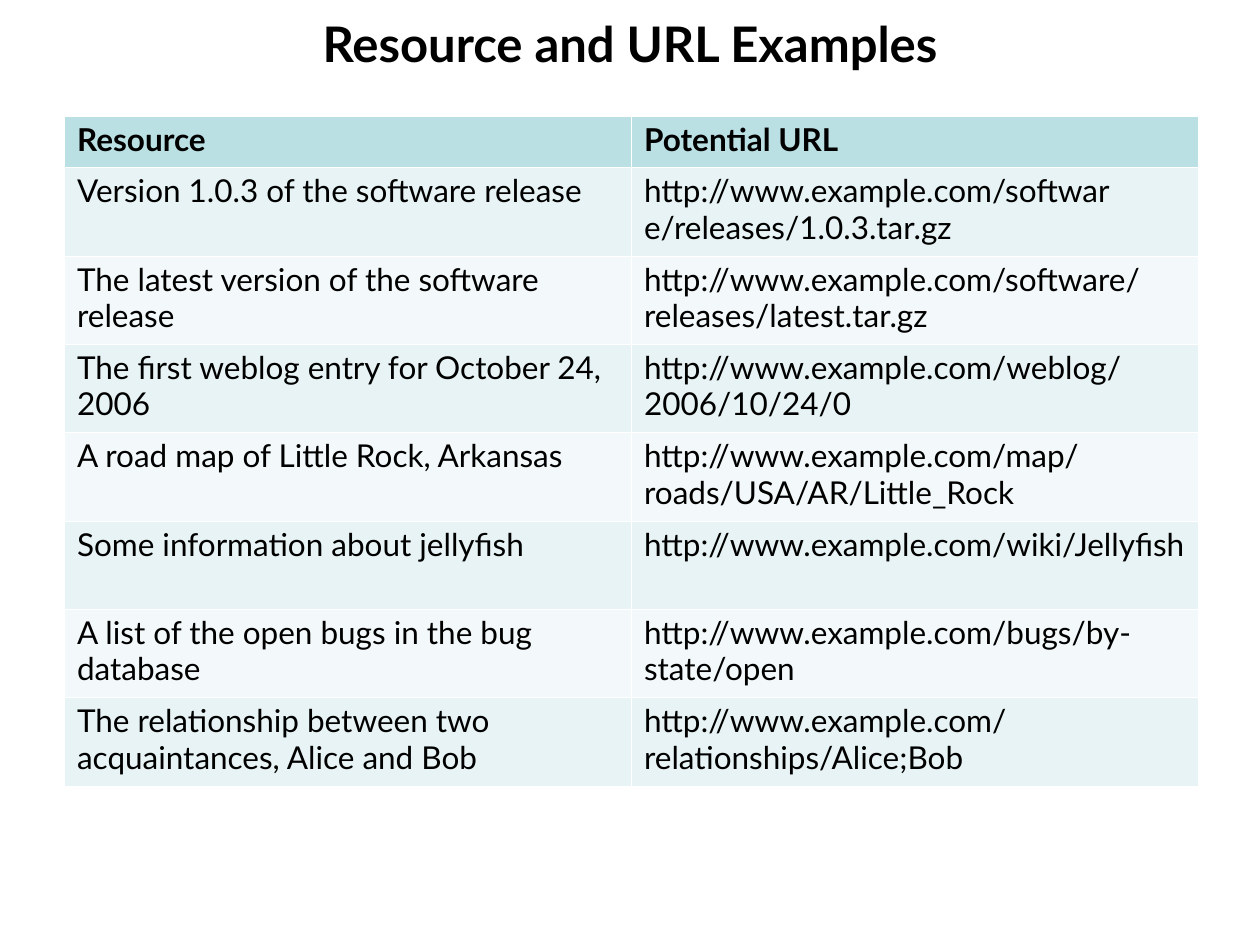
from lxml.etree import SubElement
from pptx import Presentation
from pptx.dml.color import RGBColor
from pptx.enum.text import MSO_ANCHOR as Anchor, PP_ALIGN as Align
from pptx.oxml.ns import qn
from pptx.util import Cm, Pt

ROWS = [
    ("Resource", "Potential URL"),
    ("Version 1.0.3 of the software release",
     "http://www.example.com/softwar e/releases/1.0.3.tar.gz"),
    ("The latest version of the software release",
     "http://www.example.com/software/releases/latest.tar.gz"),
    ("The first weblog entry for October 24, 2006",
     "http://www.example.com/weblog/2006/10/24/0"),
    ("A road map of Little Rock, Arkansas",
     "http://www.example.com/map/roads/USA/AR/Little_Rock"),
    ("Some information about jellyfish",
     "http://www.example.com/wiki/Jellyfish"),
    ("A list of the open bugs in the bug database",
     "http://www.example.com/bugs/by-state/open"),
    ("The relationship between two acquaintances, Alice and Bob",
     "http://www.example.com/relationships/Alice;Bob"),
]


def color(value):
    return RGBColor.from_string(value)


def write(frame, text, size=18, bold=False, align=Align.LEFT, spacing=None):
    frame.word_wrap = True
    para = frame.paragraphs[0]
    para.alignment = align
    para.line_spacing = spacing
    span = para.add_run()
    span.text = text
    span.font.name = "Lato"
    span.font.size = Pt(size)
    span.font.bold = bold
    span.font.color.rgb = color("000000")


class SlideBuilder:
    """Holds the table style and the current slide, and draws its elements."""

    header_fill = "BBE0E3"
    band_fills = ("F3F9FA", "E7F3F4")
    border_color = "FFFFFF"
    thin, thick = 0.11, 0.34

    def __init__(self, page):
        self.page = page

    def title(self, text, left, top, width, height):
        box = self.page.shapes.add_textbox(Cm(left), Cm(top), Cm(width), Cm(height))
        box.text_frame.vertical_anchor = Anchor.MIDDLE
        write(box.text_frame, text, size=28, bold=True, align=Align.CENTER)

    def borders(self, cell, top, bottom):
        properties = cell._tc.get_or_add_tcPr()
        widths = {"lnL": self.thin, "lnR": self.thin, "lnT": top, "lnB": bottom}
        for side, width in widths.items():
            line = SubElement(properties, qn(f"a:{side}"), w=str(Pt(width)))
            fill = SubElement(line, qn("a:solidFill"))
            SubElement(fill, qn("a:srgbClr"), val=self.border_color)

    def table(self, rows, left, top, width, header_height, row_height):
        height = header_height + row_height * (len(rows) - 1)
        grid = self.page.shapes.add_table(
            len(rows), len(rows[0]), Cm(left), Cm(top), Cm(width), Cm(height)).table
        for index, texts in enumerate(rows):
            header = index == 0
            grid.rows[index].height = Cm(header_height if header else row_height)
            fill = self.header_fill if header else self.band_fills[index % 2]
            for column, text in enumerate(texts):
                cell = grid.cell(index, column)
                self.borders(cell,
                             top=self.thick if index == 1 else self.thin,
                             bottom=self.thick if header else self.thin)
                cell.fill.solid()
                cell.fill.fore_color.rgb = color(fill)
                write(cell.text_frame, text, bold=header, spacing=0.96)


def main():
    deck = Presentation()
    deck.slide_width, deck.slide_height = Cm(25.4), Cm(19.05)
    builder = SlideBuilder(deck.slides.add_slide(deck.slide_layouts[6]))
    builder.title("Resource and URL Examples", 0, 0, 25.4, 1.73)
    builder.table(ROWS, left=1.3, top=2.35, width=22.86,
                  header_height=1.03, row_height=1.78)
    deck.save("out.pptx")


if __name__ == "__main__":
    main()
